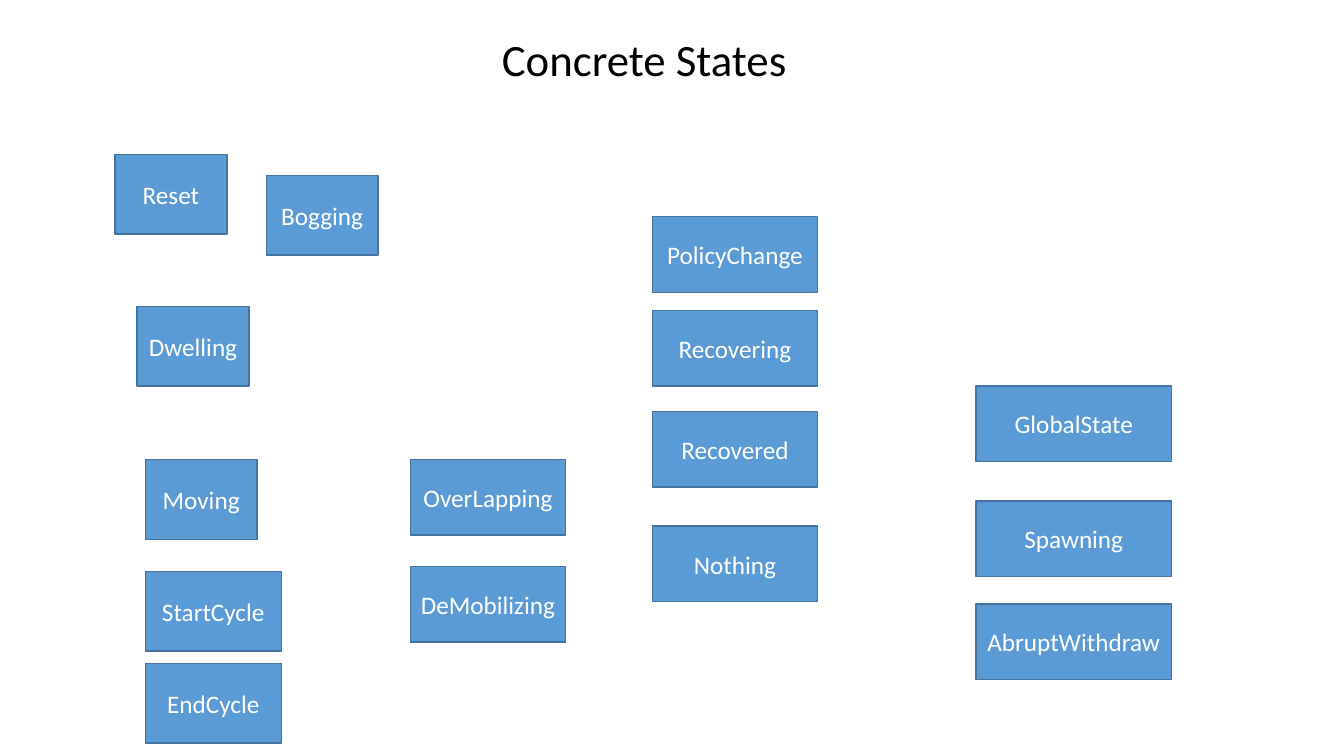
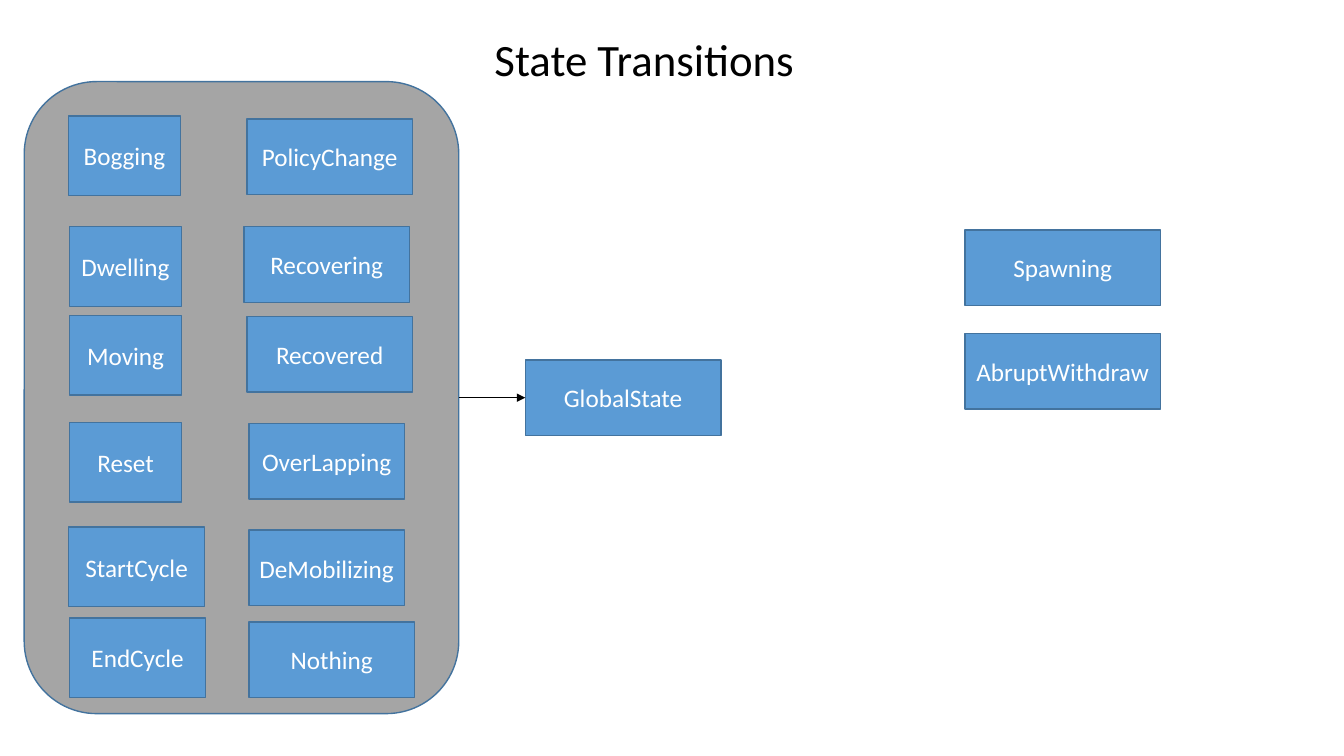
"""Build two slides of state boxes: the concrete states and their transitions."""
from lxml import etree
from pptx import Presentation, util as u
from pptx.dml.color import RGBColor
from pptx.enum import shapes, text
from pptx.oxml.ns import qn

FONT = "Calibri"
BLUE, EDGE, GREY, WHITE, BLACK = "5B9BD5", "43739E", "A5A5A5", "FFFFFF", "000000"
W, H = 13.33, 7.5
TITLE = (4.18, 0.26, 4.42, 0.64)
PANEL = (0.24, 0.81, 4.31, 6.27)

SIZES = {
    "motion": (1.11, 0.79, ["Reset", "Bogging", "Dwelling", "Moving"]),
    "cycle": (1.35, 0.79, ["StartCycle", "EndCycle"]),
    "overlap": (1.54, 0.75, ["OverLapping", "DeMobilizing"]),
    "policy": (1.64, 0.75, ["PolicyChange", "Recovering", "Recovered", "Nothing"]),
    "global": (1.94, 0.75, ["GlobalState", "Spawning", "AbruptWithdraw"]),
}
SIZE_OF = {name: (w, h) for w, h, names in SIZES.values() for name in names}

CONCRETE = [
    (1.14, {"Reset": 1.53}),
    (2.64, {"Bogging": 1.74}),
    (1.36, {"Dwelling": 3.04}),
    (1.44, {"Moving": 4.56, "StartCycle": 5.67, "EndCycle": 6.58}),
    (4.07, {"OverLapping": 4.56, "DeMobilizing": 5.62}),
    (6.47, {"PolicyChange": 2.15, "Recovering": 3.08, "Recovered": 4.08, "Nothing": 5.22}),
    (9.68, {"GlobalState": 3.83, "Spawning": 4.97, "AbruptWithdraw": 5.99}),
]
TRANSITIONS = [
    (0.68, {"Bogging": 1.15, "StartCycle": 5.23}),
    (0.69, {"Dwelling": 2.25, "Moving": 3.13, "Reset": 4.19, "EndCycle": 6.13}),
    (2.45, {"PolicyChange": 1.18, "Recovered": 3.14}),
    (2.42, {"Recovering": 2.25}),
    (2.47, {"OverLapping": 4.2, "DeMobilizing": 5.26, "Nothing": 6.17}),
    (5.21, {"GlobalState": 3.57}),
    (9.57, {"Spawning": 2.28, "AbruptWithdraw": 3.31}),
]


def color(value):
    return RGBColor.from_string(value)


def inches(box):
    return [u.Inches(v) for v in box]


def write(sp, words, size, ink):
    tf = sp.text_frame
    tf.text = words
    tf.word_wrap = False
    tf.vertical_anchor = text.MSO_ANCHOR.MIDDLE
    p = tf.paragraphs[0]
    p.alignment = text.PP_ALIGN.CENTER
    p.font.name, p.font.size = FONT, u.Pt(size)
    p.font.color.rgb = color(ink)


def add_titled_slide(prs, title):
    s = prs.slides.add_slide(prs.slide_layouts[5])
    sp = s.shapes.title
    sp.left, sp.top, sp.width, sp.height = inches(TITLE)
    write(sp, title, 32, BLACK)
    return s


def add_block(s, kind, box, fill):
    sp = s.shapes.add_shape(kind, *inches(box))
    sp.shadow.inherit = False
    sp.fill.solid()
    sp.fill.fore_color.rgb = color(fill)
    sp.line.color.rgb = color(EDGE)
    sp.line.width = u.Pt(1)
    return sp


def add_states(s, columns):
    states = {}
    for left, tops in columns:
        for name, top in tops.items():
            box = (left, top, *SIZE_OF[name])
            states[name] = add_block(s, shapes.MSO_SHAPE.RECTANGLE, box, BLUE)
            write(states[name], name, 18, WHITE)
    return states


def add_arrow(s, source, target):
    cx = s.shapes.add_connector(shapes.MSO_CONNECTOR.STRAIGHT, 0, 0, 0, 0)
    cx.begin_connect(source, 3)
    cx.end_connect(target, 1)
    cx.line.color.rgb = color(BLACK)
    cx.line.width = u.Pt(0.5)
    etree.SubElement(cx.line._get_or_add_ln(), qn("a:tailEnd"), type="triangle")
    etree.SubElement(cx._element.spPr, qn("a:effectLst"))


prs = Presentation()
prs.slide_width, prs.slide_height = inches((W, H))

add_states(add_titled_slide(prs, "Concrete States"), CONCRETE)

s = add_titled_slide(prs, "State Transitions")
panel = add_block(s, shapes.MSO_SHAPE.ROUNDED_RECTANGLE, PANEL, GREY)
states = add_states(s, TRANSITIONS)
add_arrow(s, panel, states["GlobalState"])

prs.save("out.pptx")
